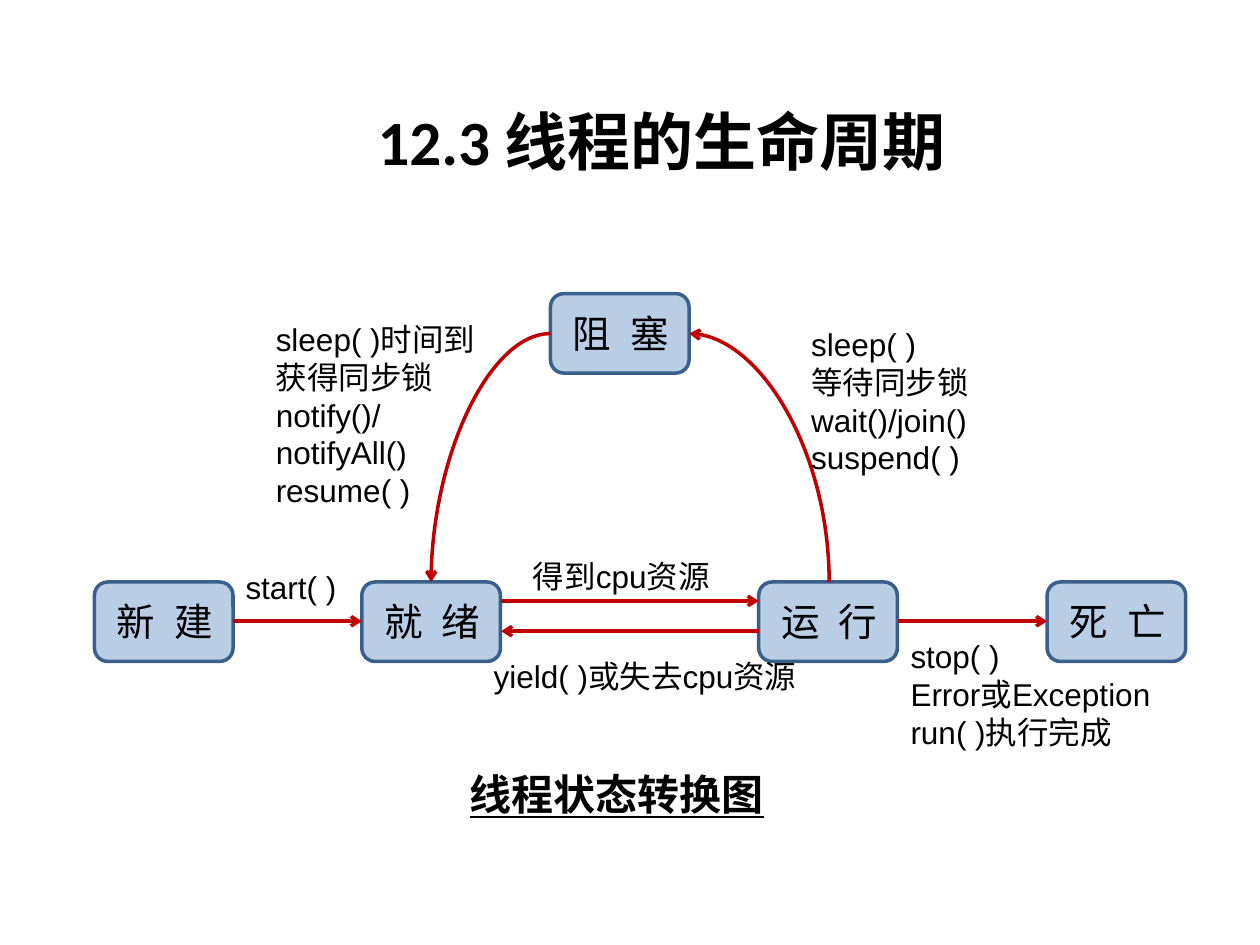
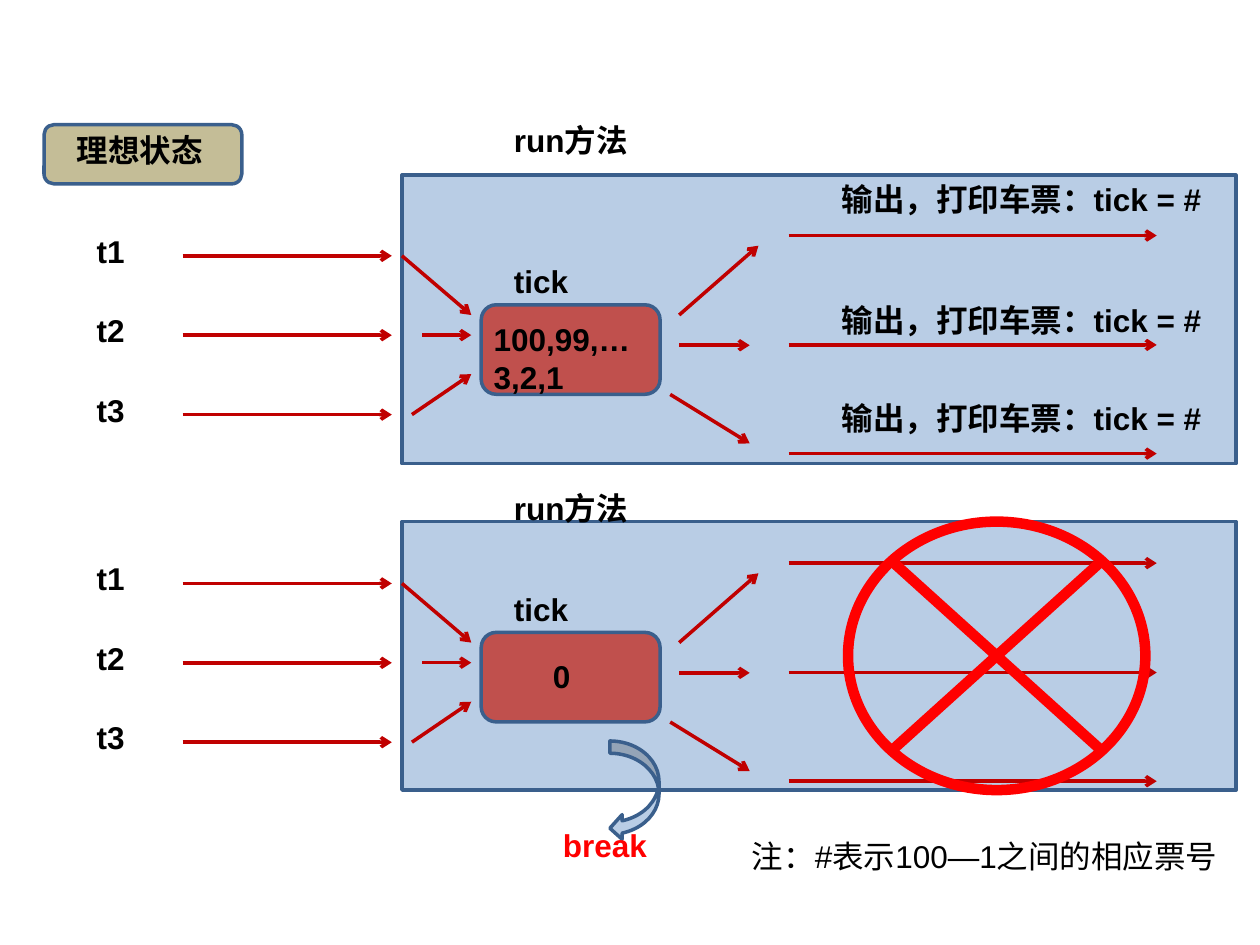
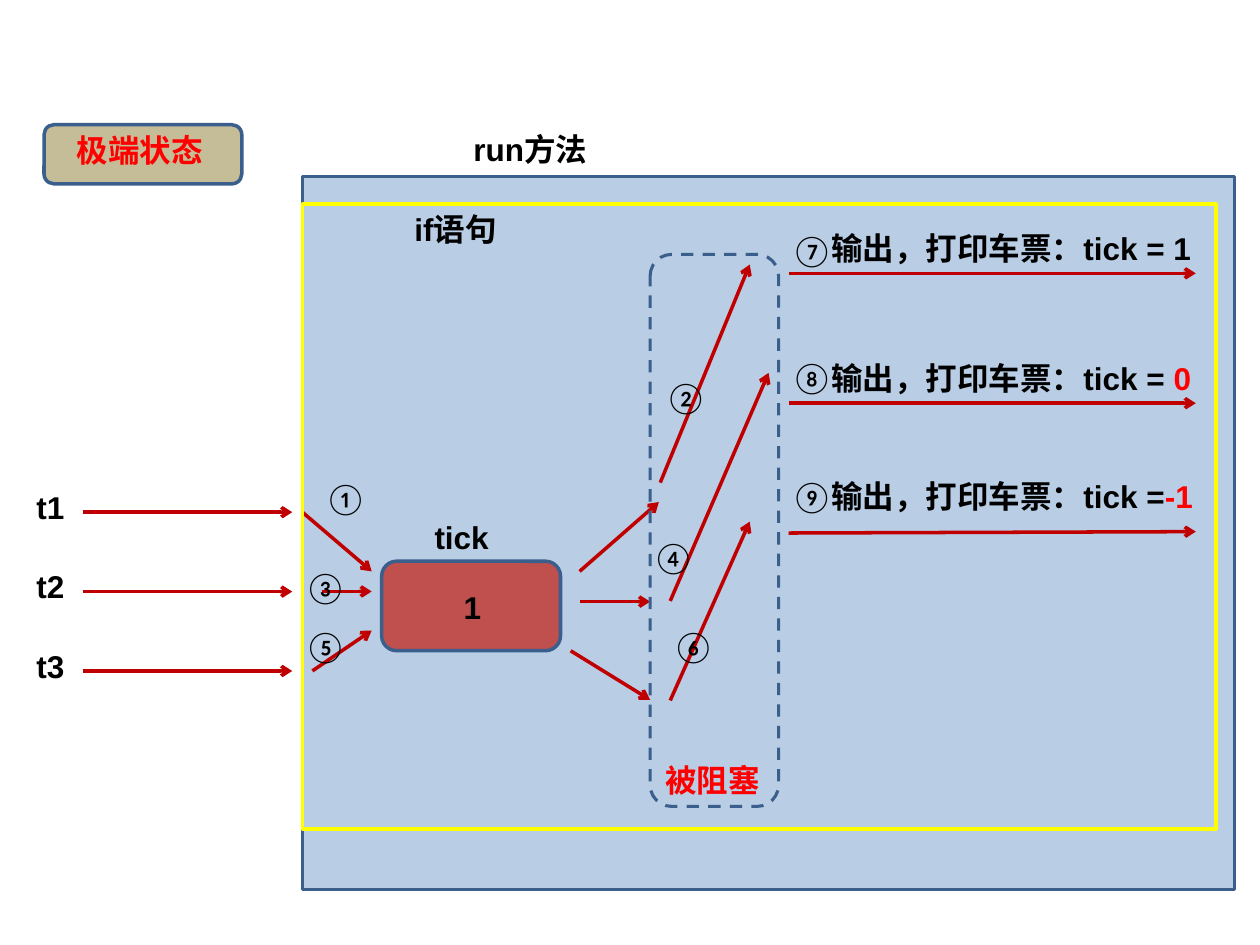
from pptx import Presentation
from pptx.dml.color import RGBColor
from pptx.enum.dml import MSO_LINE
from pptx.enum.shapes import MSO_CONNECTOR, MSO_SHAPE
from pptx.enum.text import MSO_ANCHOR, MSO_AUTO_SIZE, PP_ALIGN
from pptx.oxml.ns import qn
from pptx.util import Pt
from lxml import etree

ROUND, RECT = MSO_SHAPE.ROUNDED_RECTANGLE, MSO_SHAPE.RECTANGLE
CROSS, HOOK = MSO_SHAPE.FLOWCHART_SUMMING_JUNCTION, MSO_SHAPE.CURVED_LEFT_ARROW
STRAIGHT, CURVE = MSO_CONNECTOR.STRAIGHT, MSO_CONNECTOR.CURVE
DASH, MIDDLE, CENTER = MSO_LINE.DASH, MSO_ANCHOR.MIDDLE, PP_ALIGN.CENTER
GROW, FIXED = MSO_AUTO_SIZE.SHAPE_TO_FIT_TEXT, MSO_AUTO_SIZE.NONE

THEME = {
    "black": "000000", "red": "FF0000", "arrow": "C00000", "edge": "3A5F8C",
    "panel": "B9CDE5", "tag": "C4BD97", "box": "C0504D", "yellow": "FFFF00",
    "line": 2,
    "fonts": {
        "plain": {"name": "Arial", "size": Pt(18)},
        "bold": {"name": "Arial", "size": Pt(18), "bold": True},
        "state": {"name": "Arial", "size": Pt(22)},
        "mark": {"name": "Calibri", "size": Pt(18)},
        "title": {"name": "Calibri", "size": Pt(36), "bold": True},
        "caption": {"name": "Noto Sans CJK SC", "size": Pt(24),
                    "bold": True, "underline": True},
    },
}
ROW = 28.8          # height of a one-line label
STEP = 45.36        # gap between two threads
TAG = (25.2, 71.3, 113, 33.8)
PRINT = "输出，打印车票：tick ="

# Slide 1: the life cycle
TITLE = ("12.3 线程的生命周期", (161.3, 54.7, 433.4, 51.1))
CAPTION = ("线程状态转换图", (261.4, 435.6, 187.2, 36))
STATE = (79.2, 45.4)
STATES = [  # an en space parts the two characters
    ("阻\u2002塞", 314.6, 167.8), ("新\u2002建", 54, 332.6),
    ("就\u2002绪", 206.8, 332.6), ("运\u2002行", 433.6, 332.6),
    ("死\u2002亡", 598.4, 332.6),
]
MOVES = [
    (133.2, 355, 206.8, 355), (286.4, 343.4, 433.6, 343.4),
    (513.2, 355, 598.4, 355), (433.6, 360.7, 286.4, 360.7),
]
BENDS = [  # ends, and whether the curve leaves upright
    ((314.6, 190.6, 246.4, 332.6), False),
    ((473.8, 332.6, 393.8, 190.6), True),
]
CAUSES = [
    (["start( )"], 133.2, 321.1, 73.4),
    (["得到cpu资源"], 297.4, 314.6, 130.3),
    (["yield( )或失去cpu资源"], 275, 372.2, 193),
    (["stop( )", "Error或Exception", "run( )执行完成"], 513.2, 360.7, 195.8),
    (["sleep( )", "等待同步锁", "wait()/join()", "suspend( )"],
     456.5, 182.2, 153.4),
    (["sleep( )时间到", "获得同步锁", "notify()/notifyAll()", "resume( )"],
     150.5, 179.3, 147.6),
]

# Slides 2 and 3: three threads share one counter
THREADS = ["t1", "t2", "t3"]
FLOW = [
    (229.7, 146.2, 269.3, 180), (241.2, 191.5, 269.3, 191.5),
    (235.4, 236.9, 269.3, 213.8), (388.1, 180, 433.4, 140.4),
    (388.1, 197.3, 428.4, 197.3), (383, 225.4, 428.4, 253.4),
]
DROP = 187.2        # from the upper scene to the lower one
IDEAL = {
    "panels": [(229.7, 298.1, 476.6, 153.4), (229.7, 100.1, 476.6, 164.9)],
    "runs": [65.5, 275.8],
    "outs": [134.6, 197.1, 259.2],
    "prints": [99.4, 168.5, 224.6],
}
WORST = {
    "panel": (172.8, 100.8, 532.8, 407.5),
    "frame": (172.8, 116.6, 522, 357.1),
    "wait": (371.5, 145.4, 73.4, 315.4),
    "climbs": [(377.3, 275.8, 428.4, 151.2), (383, 343.4, 439.2, 213.1),
               (383, 400.3, 428.4, 298.1)],
    "outs": [(156.2, 156.2), (230.4, 230.4), (304.6, 303.8)],
    "prints": [(127.4, " 1", "black"), (201.6, " 0", "red"),
               (269.3, "-1", "red")],
    "marks": [("①", 178.6, 270), ("②", 373, 212.4), ("④", 365.8, 303.8),
              ("③", 167, 321.1), ("⑤", 167, 355), ("⑥", 377.3, 355),
              ("⑦", 445, 128.2), ("⑧", 445, 200.9), ("⑨", 445, 269.3)],
}


def tint(key):
    """Return a theme colour."""
    return RGBColor.from_string(THEME[key])


def apply(thing, values):
    """Set each format value on a thing."""
    for key, value in values.items():
        setattr(thing, key, value)


def draw(slide, kind, place, fill=None, edge="edge", width=THEME["line"],
         dash=None):
    """Add a preset shape."""
    shape = slide.shapes.add_shape(kind, *map(Pt, place))
    shape.shadow.inherit = False
    if fill:
        shape.fill.solid()
        shape.fill.fore_color.rgb = tint(fill)
    else:
        shape.fill.background()
    shape.line.color.rgb = tint(edge)
    apply(shape.line, {"width": Pt(width), "dash_style": dash})


def write(slide, place, lines, font="bold", color="black", align=None,
          **frame):
    """Add text; a line is a string or a list of (text, colour) runs."""
    box = slide.shapes.add_textbox(*map(Pt, place)).text_frame
    apply(box, {"word_wrap": True, "auto_size": GROW, **frame})
    for i, line in enumerate(lines):
        para = box.add_paragraph() if i else box.paragraphs[0]
        para.alignment = align
        for text, hue in [(line, color)] if isinstance(line, str) else line:
            run = para.add_run()
            run.text = text
            apply(run.font, THEME["fonts"][font])
            run.font.color.rgb = tint(hue)


def arrow(slide, ends, kind=STRAIGHT):
    """Add an arrow and return its shape properties."""
    link = slide.shapes.add_connector(kind, *map(Pt, ends))
    link.line.color.rgb = tint("arrow")
    link.line.width = Pt(THEME["line"])
    props = link.element.spPr
    tip = etree.SubElement(props.find(qn("a:ln")), qn("a:tailEnd"))
    tip.set("type", "arrow")
    etree.SubElement(props, qn("a:effectLst"))
    return props


def bend(slide, ends, upright):
    """Add a quarter-curve arrow, turned if it leaves upright."""
    if upright:
        x1, y1, x2, y2 = ends
        midx, midy = (x1 + x2) / 2, (y1 + y2) / 2
        w, h = abs(y2 - y1) / 2, abs(x2 - x1) / 2
        ends = (midx - w, midy + h, midx + w, midy - h)
    props = arrow(slide, ends, CURVE)
    props.find(qn("a:prstGeom")).set("prst", "curvedConnector2")
    if upright:
        props.find(qn("a:xfrm")).set("rot", str(270 * 60000))


def flow(slide, dx, dy, namex, tickx):
    """Draw the threads, the counter and the arrows around it."""
    draw(slide, ROUND, (275 + dx, 174.2 + dy, 102.2, 51.1), "box")
    write(slide, (tickx, 146.2 + dy, 102.2, ROW), ["tick"])
    for i, name in enumerate(THREADS):
        y = 146.2 + dy + i * STEP
        write(slide, (namex, y - 17.3, 73.4, ROW), [name])
        arrow(slide, (104.4 + dx, y, 223.9 + dx, y))
    for x1, y1, x2, y2 in FLOW:
        arrow(slide, (x1 + dx, y1 + dy, x2 + dx, y2 + dy))


def cycle(slide):
    """Build the state chart."""
    for name, x, y in STATES:
        draw(slide, ROUND, (x, y, *STATE), "panel")
        write(slide, (x + 5.6, y + 5.8, 73.4, 33.8), [name], "state")
    for ends in MOVES:
        arrow(slide, ends)
    for ends, upright in BENDS:
        bend(slide, ends, upright)
    for lines, x, y, w in CAUSES:
        high = 7.2 + 21.6 * len(lines)
        write(slide, (x, y, w, high), lines, "plain")
    text, place = CAPTION
    write(slide, place, [text], "caption")
    text, place = TITLE
    write(slide, place, [text], "title", align=CENTER, auto_size=FIXED,
          vertical_anchor=MIDDLE)


def ideal(slide):
    """Build the ideal case: selling, then sold out."""
    draw(slide, ROUND, TAG, "tag")
    write(slide, (36.7, 71.3, 158.4, ROW), ["理想状态"])
    for place in IDEAL["panels"]:
        draw(slide, RECT, place, "panel")
    for dy, y in zip((0, DROP), IDEAL["runs"]):
        write(slide, (286.6, y, 96.5, ROW), ["run方法"])
        flow(slide, 0, dy, 48.2, 286.6)
        for out in IDEAL["outs"]:
            arrow(slide, (450.7, out + dy, 661, out + dy))
    for y in IDEAL["prints"]:
        write(slide, (473.8, y, 226.8, ROW), [PRINT + " #"])
    write(slide, (275, 179.3, 102.2, 51.1), ["100,99,…3,2,1"],
          auto_size=FIXED)
    write(slide, (308.9, 372.2, 56.9, ROW), ["0"])
    draw(slide, CROSS, (484.6, 298.1, 169.9, 153.4), edge="red", width=6)
    draw(slide, HOOK, (348.5, 423.4, 28.1, 56.9), "panel")
    write(slide, (314.6, 468.7, 85, ROW), ["break"], color="red")
    write(slide, (422.6, 474.5, 297.4, ROW),
          ["注：#表示100—1之间的相应票号"], "plain")


def worst(slide):
    """Build the extreme case: all threads pass the test."""
    draw(slide, ROUND, TAG, "tag")
    write(slide, (36.7, 71.3, 96.5, ROW), ["极端状态"], color="red")
    draw(slide, RECT, WORST["panel"], "panel")
    flow(slide, -56.9, 146.5, 13.7, 241.2)
    for ends in WORST["climbs"]:
        arrow(slide, ends)
    write(slide, (257.8, 332.6, 45.4, ROW), ["1"])
    write(slide, (263.5, 70.6, 96.5, ROW), ["run方法"])
    draw(slide, ROUND, WORST["wait"], width=1.75, dash=DASH)
    write(slide, (373, 431.3, 73.4, ROW), ["被阻塞"], color="red")
    for y1, y2 in WORST["outs"]:
        arrow(slide, (450.7, y1, 683.3, y2))
    for mark, x, y in WORST["marks"]:
        write(slide, (x, y, 32.4, ROW), [mark], "mark", word_wrap=False)
    for y, count, hue in WORST["prints"]:
        write(slide, (468, y, 241.2, ROW),
              [[(PRINT, "black"), (count, hue)]])
    draw(slide, RECT, WORST["frame"], edge="yellow")
    write(slide, (229.7, 116.6, 96.5, ROW), ["if语句"])


deck = Presentation()
apply(deck, {"slide_width": Pt(720), "slide_height": Pt(540)})
for build in (cycle, ideal, worst):
    build(deck.slides.add_slide(deck.slide_layouts[6]))
deck.save("out.pptx")
